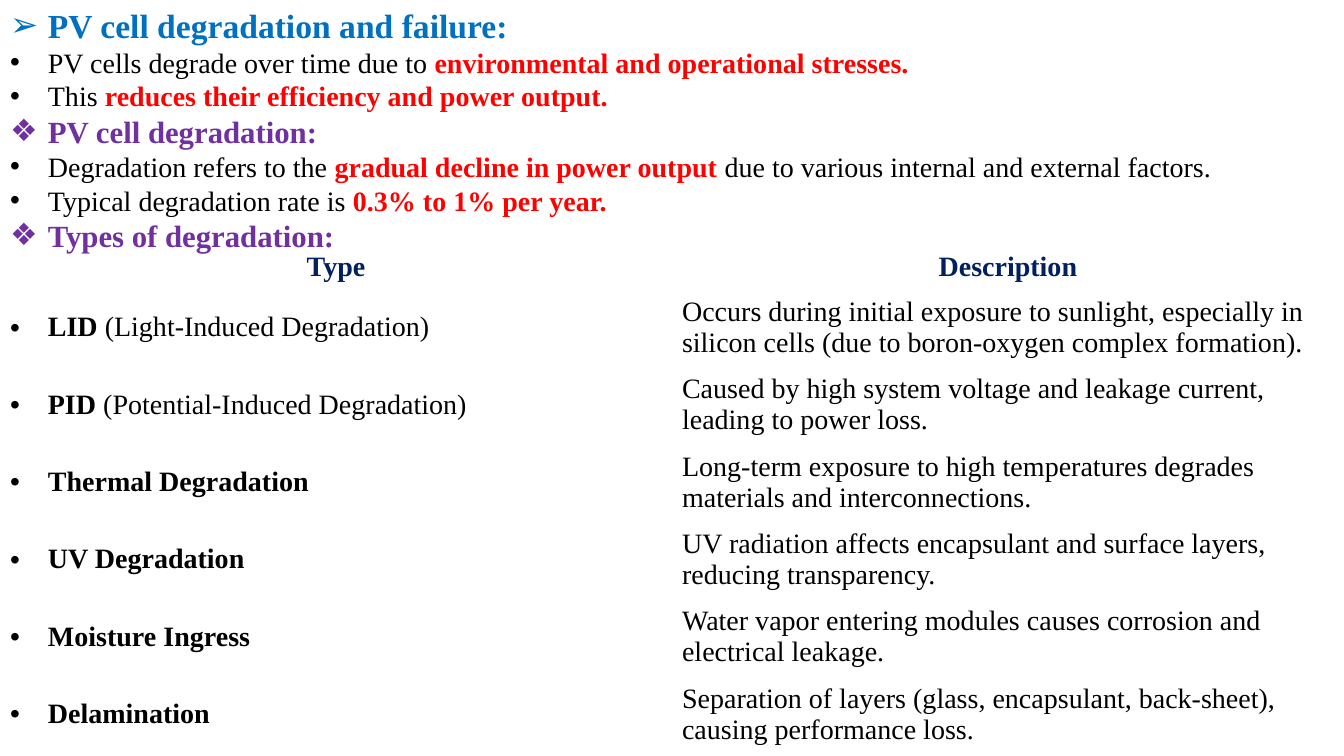
from dataclasses import dataclass

from lxml import etree
from pptx import Presentation
from pptx.dml.color import RGBColor
from pptx.enum.text import MSO_ANCHOR, MSO_AUTO_SIZE, PP_ALIGN
from pptx.oxml.ns import qn
from pptx.util import Pt

LEFT, CENTER, JUSTIFY = PP_ALIGN.LEFT, PP_ALIGN.CENTER, PP_ALIGN.JUSTIFY
TOP, MIDDLE = MSO_ANCHOR.TOP, MSO_ANCHOR.MIDDLE
GROW = MSO_AUTO_SIZE.SHAPE_TO_FIT_TEXT
SLIDE_W, SLIDE_H = 960, 540


@dataclass(frozen=True)
class TextStyle:
    size: int
    color: str
    bold: bool = False


@dataclass(frozen=True)
class Theme:
    font: str = "Times New Roman"
    bullet_font: str = "Arial"
    indent: int = 27
    topic: TextStyle = TextStyle(24, "0070C0", True)
    section: TextStyle = TextStyle(22, "7030A0", True)
    plain: TextStyle = TextStyle(20, "000000")
    strong: TextStyle = TextStyle(20, "000000", True)
    key: TextStyle = TextStyle(20, "FF0000", True)
    column_head: TextStyle = TextStyle(20, "002060", True)


class SlideBuilder:
    def __init__(self, slide, theme):
        self.slide = slide
        self.theme = theme

    def paragraph(self, paragraph, runs, bullet=None, align=LEFT):
        if bullet:
            props = paragraph._p.get_or_add_pPr()
            props.set("marL", str(Pt(self.theme.indent)))
            props.set("indent", str(-Pt(self.theme.indent)))
            etree.SubElement(props, qn("a:buFont"), typeface=self.theme.bullet_font)
            etree.SubElement(props, qn("a:buChar"), char=bullet)
        paragraph.alignment = align
        paragraph.line_spacing = 1.0
        paragraph.space_before = paragraph.space_after = Pt(0)
        for text, style in runs:
            run = paragraph.add_run()
            run.text = text
            run.font.name = self.theme.font
            run.font.size = Pt(style.size)
            run.font.bold = style.bold
            run.font.color.rgb = RGBColor.from_string(style.color)

    def bullet_list(self, items, left, top, width, height):
        body = self.slide.placeholders[1]
        body.left, body.top = Pt(left), Pt(top)
        body.width, body.height = Pt(width), Pt(height)
        frame = body.text_frame
        frame.word_wrap = True
        frame.auto_size = GROW
        frame.vertical_anchor = TOP
        for index, (bullet, align, runs) in enumerate(items):
            target = frame.add_paragraph() if index else frame.paragraphs[0]
            self.paragraph(target, runs, bullet, align)

    def cell(self, cell, runs, bullet=None, align=LEFT):
        cell.fill.background()
        cell.vertical_anchor = MIDDLE
        # Invisible borders keep the list above the table uncut
        props = cell._tc.get_or_add_tcPr()
        for position, side in enumerate(("a:lnL", "a:lnR", "a:lnT", "a:lnB")):
            border = etree.Element(qn(side), w="0")
            etree.SubElement(border, qn("a:noFill"))
            props.insert(position, border)
        self.paragraph(cell.text_frame.paragraphs[0], runs, bullet, align)

    def table(self, headings, rows, left, top, width, head_height, row_height):
        height = head_height + row_height * len(rows)
        table = self.slide.shapes.add_table(
            len(rows) + 1, len(headings), Pt(left), Pt(top), Pt(width), Pt(height)
        ).table
        table.horz_banding = table.first_row = False
        for index, row in enumerate(table.rows):
            row.height = Pt(row_height if index else head_height)
        for column, heading in enumerate(headings):
            self.cell(table.cell(0, column), [(heading, self.theme.column_head)], align=CENTER)
        for index, (kind, description) in enumerate(rows, 1):
            self.cell(table.cell(index, 0), kind, "•")
            self.cell(table.cell(index, 1), [(description, self.theme.plain)])

    def remove_empty_placeholders(self):
        for holder in list(self.slide.placeholders):
            if holder.has_text_frame and not holder.text_frame.text:
                holder._element.getparent().remove(holder._element)


def main():
    theme = Theme()
    plain, strong, key = theme.plain, theme.strong, theme.key

    # Key points
    points = [
        ("➢", LEFT, [("PV cell degradation and failure:", theme.topic)]),
        ("•", LEFT, [("PV cells degrade over time due to ", plain),
                     ("environmental and operational stresses.", key)]),
        ("•", LEFT, [("This ", plain),
                     ("reduces their efficiency and power output.", key)]),
        ("❖", LEFT, [("PV cell degradation:", theme.section)]),
        ("•", JUSTIFY, [("Degradation refers to the ", plain),
                        ("gradual decline in power output ", key),
                        ("due to various internal and external factors.", plain)]),
        ("•", LEFT, [("Typical degradation rate is ", plain),
                     ("0.3% to 1% per year.", key)]),
        ("❖", LEFT, [("Types of degradation:", theme.section)]),
    ]

    # Degradation types
    degradation_types = [
        ([("LID", strong), (" (Light-Induced Degradation)", plain)],
         "Occurs during initial exposure to sunlight, especially in silicon cells "
         "(due to boron-oxygen complex formation)."),
        ([("PID", strong), (" (Potential-Induced Degradation)", plain)],
         "Caused by high system voltage and leakage current, leading to power loss."),
        ([("Thermal Degradation", strong)],
         "Long-term exposure to high temperatures degrades materials and interconnections."),
        ([("UV Degradation", strong)],
         "UV radiation affects encapsulant and surface layers, reducing transparency."),
        ([("Moisture Ingress", strong)],
         "Water vapor entering modules causes corrosion and electrical leakage."),
        ([("Delamination", strong)],
         "Separation of layers (glass, encapsulant, back-sheet), causing performance loss."),
    ]

    # Slide
    deck = Presentation()
    deck.slide_width, deck.slide_height = Pt(SLIDE_W), Pt(SLIDE_H)
    builder = SlideBuilder(deck.slides.add_slide(deck.slide_layouts[1]), theme)
    builder.bullet_list(points, 0, 0, SLIDE_W, 208)
    builder.table(["Type", "Description"], degradation_types, 0, 175, SLIDE_W, 31, 55.2)
    builder.remove_empty_placeholders()
    deck.save("out.pptx")


if __name__ == "__main__":
    main()
